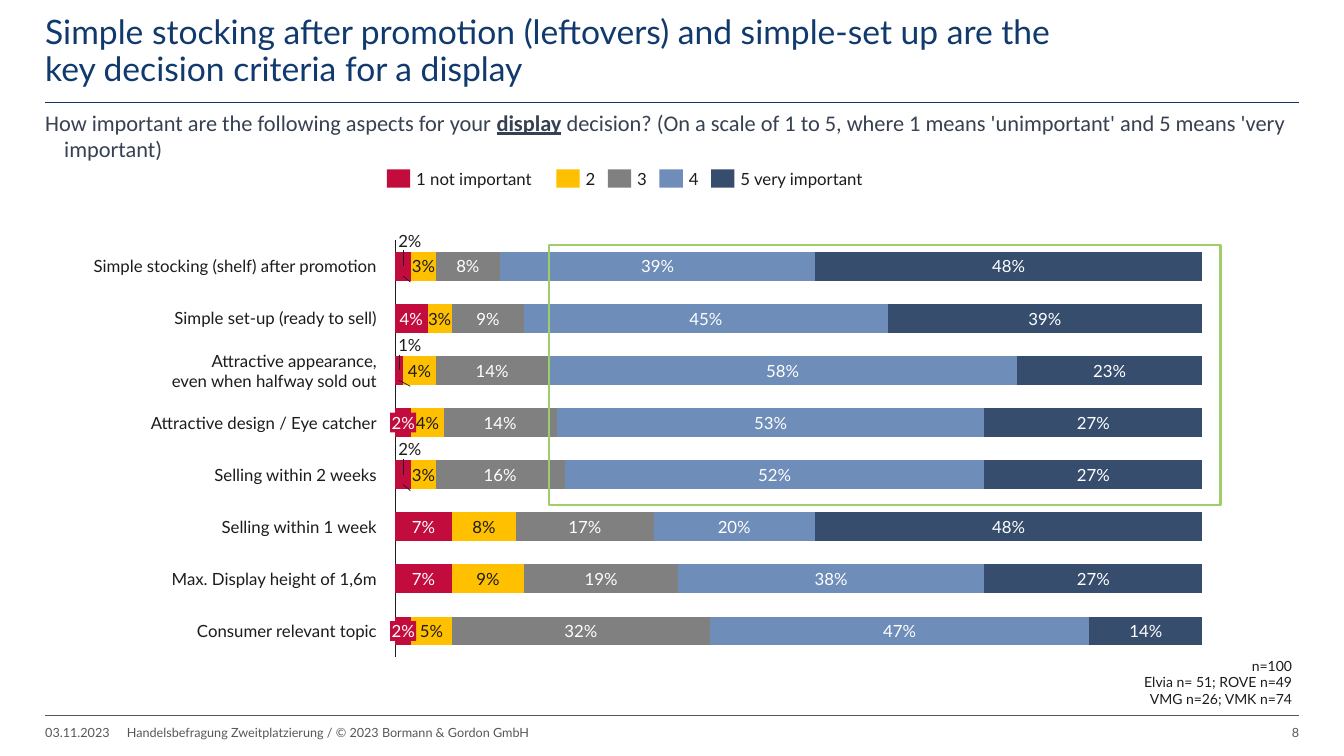
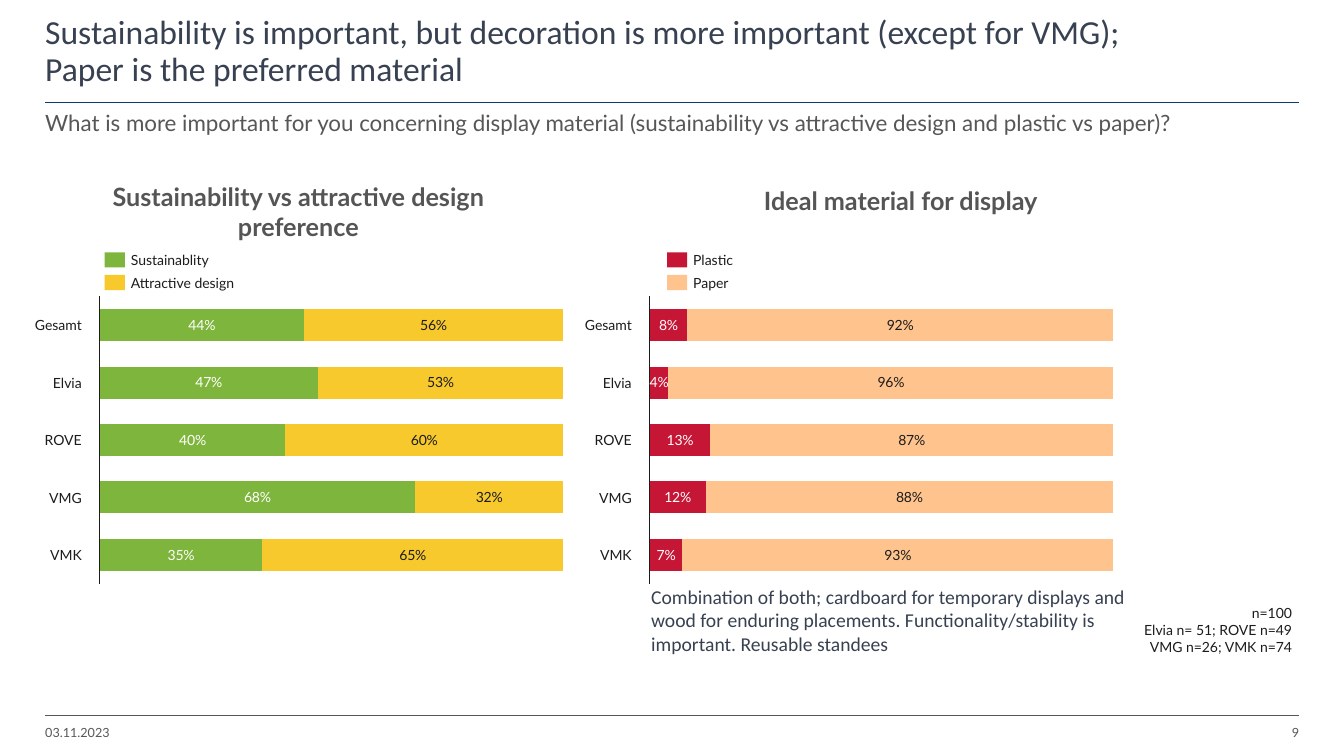
import pptx
import pptx.chart.data
import pptx.dml.color
import pptx.enum.chart
import pptx.enum.shapes
import pptx.enum.text
import pptx.oxml
import pptx.oxml.ns
import pptx.util
from pptx.util import Cm, Pt

ALIGN = pptx.enum.text.PP_ALIGN
ANCHOR = pptx.enum.text.MSO_ANCHOR
NAVY, SLATE, GREY, INK, WHITE = "10396D", "374151", "575757", "1C1C1C", "FFFFFF"
RED, HIGHLIGHT = "C30C3E", "9FCD69"
LEFT, RIGHT, INSET = 1.14, 32.74, 0.23
SAMPLE = "n=100\nElvia n= 51; ROVE n=49\nVMG n=26; VMK n=74"


def rgb(value):
    return pptx.dml.color.RGBColor.from_string(value)


class Report:
    """Hold the report style and the slide being built."""

    def __init__(self):
        self.deck = pptx.Presentation()
        self.deck.slide_width, self.deck.slide_height = Cm(33.87), Cm(19.05)
        self.slide = None

    def start(self, title, number, color=NAVY, face="Lato", footer=None):
        self.slide = self.deck.slides.add_slide(self.deck.slide_layouts[6])
        self.line(LEFT, 18.03, RIGHT, 18.03, GREY)
        self.line(LEFT, 2.59, RIGHT, 2.59, NAVY)
        box = self.text(LEFT, 0.38, RIGHT - LEFT, 1.85, "", anchor=ANCHOR.BOTTOM)
        paragraph = box.text_frame.paragraphs[0]
        paragraph.text = title
        paragraph.line_spacing = 0.9
        self.style(paragraph, 24, color, face)
        self.label(LEFT, 18.45, 2, "03.11.2023", 9, GREY)
        self.label(RIGHT - 1, 18.45, 1, str(number), 9, GREY, ALIGN.RIGHT)
        if footer:
            self.label(3.2, 18.45, 21, footer, 9, GREY)

    def style(self, paragraph, size, color, face="Lato", bold=False):
        for span in paragraph.runs:
            span.font.size = Pt(size)
            span.font.name = face
            span.font.bold = bold
            span.font.color.rgb = rgb(color)

    def set_text(self, frame, text, size, color, align, anchor, face="Lato", bold=False):
        frame.margin_left = frame.margin_right = 0
        frame.margin_top = frame.margin_bottom = 0
        frame.word_wrap = True
        frame.vertical_anchor = anchor
        frame.text = text
        for paragraph in frame.paragraphs:
            paragraph.alignment = align
            self.style(paragraph, size, color, face, bold)

    def text(self, left, top, width, height, text, size=12, color=INK,
             align=ALIGN.LEFT, anchor=ANCHOR.TOP, face="Lato", bold=False):
        box = self.slide.shapes.add_textbox(Cm(left), Cm(top), Cm(width), Cm(height))
        self.set_text(box.text_frame, text, size, color, align, anchor, face, bold)
        return box

    def label(self, left, middle, width, text, size=12, color=INK, align=ALIGN.LEFT):
        self.text(left, middle - 0.5, width, 1, text, size, color, align, ANCHOR.MIDDLE)

    def question(self, pieces, color, face):
        box = self.text(LEFT, 2.74, RIGHT - LEFT, 0.69, pieces[0])
        paragraph = box.text_frame.paragraphs[0]
        for piece in pieces[1:]:
            paragraph.add_run().text = piece
        self.style(paragraph, 16, color, face)
        for span in paragraph.runs[1::2]:
            span.font.bold = span.font.underline = True
        paragraph.space_after = Pt(6)
        properties = paragraph._p.get_or_add_pPr()
        properties.set("marL", str(Cm(0.48)))
        properties.set("indent", str(-Cm(0.48)))

    def line(self, x1, y1, x2, y2, color=INK, weight=0.75):
        connector = self.slide.shapes.add_connector(
            pptx.enum.shapes.MSO_CONNECTOR.STRAIGHT, Cm(x1), Cm(y1), Cm(x2), Cm(y2))
        connector.line.color.rgb = rgb(color)
        connector.line.width = Pt(weight)
        connector._element.spPr.append(pptx.oxml.parse_xml(
            f"<a:effectLst {pptx.oxml.ns.nsdecls('a')}/>"))

    def rectangle(self, left, top, width, height, fill=None, outline=None, text=""):
        shape = self.slide.shapes.add_shape(
            pptx.enum.shapes.MSO_SHAPE.RECTANGLE, Cm(left), Cm(top), Cm(width), Cm(height))
        shape.shadow.inherit = False
        if fill:
            shape.fill.solid()
            shape.fill.fore_color.rgb = rgb(fill)
        else:
            shape.fill.background()
        if outline:
            shape.line.color.rgb = rgb(outline)
            shape.line.width = Pt(1.5)
        else:
            shape.line.fill.background()
        if text:
            self.set_text(shape.text_frame, text, 12, WHITE, ALIGN.CENTER, ANCHOR.MIDDLE)

    def legend_entry(self, left, middle, width, height, name, color, size):
        self.rectangle(left, middle - height / 2, width, height, color)
        self.label(left + width + 0.15, middle, 4 if len(name) > 1 else 0.5, name, size)

    def bar_chart(self, left, top, width, height, label_left, categories, series, size):
        """Draw stacked bars with row labels and return the middle of each row."""
        data = pptx.chart.data.CategoryChartData()
        data.categories = [name.replace("\n", " ") for name in categories]
        for name, color, label_color, values in series:
            data.add_series(name, values)
        chart = self.slide.shapes.add_chart(
            pptx.enum.chart.XL_CHART_TYPE.BAR_STACKED,
            Cm(left), Cm(top), Cm(width), Cm(height), data).chart
        chart.has_legend = chart.has_title = False
        chart.font.size = Pt(size)
        chart.font.name = "Lato"
        chart.font.color.rgb = rgb(INK)
        axis = chart.category_axis
        axis.reverse_order = True
        axis.tick_label_position = pptx.enum.chart.XL_TICK_LABEL_POSITION.NONE
        axis.major_tick_mark = pptx.enum.chart.XL_TICK_MARK.NONE
        axis.format.line.color.rgb = rgb(INK)
        axis.format.line.width = Pt(0.75)
        scale = chart.value_axis
        scale.minimum_scale, scale.maximum_scale = 0, 100
        scale.has_major_gridlines = False
        scale.visible = False
        plot = chart.plots[0]
        plot.gap_width, plot.overlap = 80, 100
        plot.vary_by_categories = False
        for bars, (name, color, label_color, values) in zip(plot.series, series):
            bars.format.fill.solid()
            bars.format.fill.fore_color.rgb = rgb(color)
            labels = bars.data_labels
            labels.show_value = True
            labels.number_format = '[>=3]0"%";""'
            labels.number_format_is_linked = False
            labels.position = pptx.enum.chart.XL_LABEL_POSITION.CENTER
            labels.font.size = Pt(size)
            labels.font.name = "Lato"
            labels.font.color.rgb = rgb(label_color)
        self.fix_plot(chart, INSET / width, INSET / height)

        pitch = (height - 2 * INSET) / len(categories)
        middles = [top + INSET + pitch * (row + 0.5) for row in range(len(categories))]
        for name, middle in zip(categories, middles):
            self.label(label_left, middle, left - INSET - label_left, name, size,
                       align=ALIGN.RIGHT)
        return middles

    def fix_plot(self, chart, x, y):
        area = chart._chartSpace.chart.plotArea
        for layout in area.findall(pptx.oxml.ns.qn("c:layout")):
            area.remove(layout)
        sizes = {"x": x, "y": y, "w": 1 - 2 * x, "h": 1 - 2 * y}
        values = "".join(f'<c:{key} val="{size:.4f}"/>' for key, size in sizes.items())
        area.insert(0, pptx.oxml.parse_xml(
            f"<c:layout {pptx.oxml.ns.nsdecls('c')}><c:manualLayout>"
            '<c:layoutTarget val="inner"/><c:xMode val="edge"/><c:yMode val="edge"/>'
            f"{values}</c:manualLayout></c:layout>"))

    def sample_note(self, top):
        self.text(25.22, top, 7.34, 1.68, SAMPLE, 10, align=ALIGN.RIGHT)


def criteria_slide(report):
    report.start("Simple stocking after promotion (leftovers) and simple-set up are the\v"
                 "key decision criteria for a display", 8,
                 footer="Handelsbefragung Zweitplatzierung / © 2023 Bormann & Gordon GmbH")
    report.question(["How important are the following aspects for your ", "display",
                     " decision? (On a scale of 1 to 5, where 1 means 'unimportant' "
                     "and 5 means 'very important)"], SLATE, "Calibri")
    criteria = ["Simple stocking (shelf) after promotion", "Simple set-up (ready to sell)",
                "Attractive appearance,\neven when halfway sold out",
                "Attractive design / Eye catcher", "Selling within 2 weeks",
                "Selling within 1 week", "Max. Display height of 1,6m",
                "Consumer relevant topic"]
    series = [
        ("1 not important", RED, WHITE, (2, 4, 1, 2, 2, 7, 7, 2)),
        ("2", "FFC000", INK, (3, 3, 4, 4, 3, 8, 9, 5)),
        ("3", "808080", WHITE, (8, 9, 14, 14, 16, 17, 19, 32)),
        ("4", "6F8DB9", WHITE, (39, 45, 58, 53, 52, 20, 38, 47)),
        ("5 very important", "364D6E", WHITE, (48, 39, 23, 27, 27, 48, 27, 14)),
    ]
    middles = report.bar_chart(9.73, 5.82, 20.8, 10.97, 0.89, criteria, series, 12)
    for row in (0, 2, 4):
        share, middle = series[0][3][row], middles[row]
        center = 9.96 + share * 0.1
        report.line(center, middle - 0.4, center, middle, weight=0.5)
        report.line(10.34, middle + 0.4, center, middle + 0.25, weight=0.5)
        report.label(9.83, middle - 0.64, 1, f"{share}%", align=ALIGN.CENTER)
    for row in (3, 7):
        report.rectangle(9.83, middles[row] - 0.25, 0.66, 0.5, RED,
                         text=f"{series[0][3][row]}%")
    lefts = [9.75] + [14.02 + 1.3 * step for step in range(4)]
    for left, (name, color, label_color, values) in zip(lefts, series):
        report.legend_entry(left, 4.5, 0.59, 0.46, name, color, 12)
    report.rectangle(13.84, 6.17, 16.92, 6.55, outline=HIGHLIGHT)
    report.sample_note(16.56)


def material_slide(report):
    report.start("Sustainability is important, but decoration is more important "
                 "(except for VMG);\vPaper is the preferred material", 9, SLATE, "Calibri")
    report.question(["What is more important for you concerning display material "
                     "(sustainability vs attractive design and plastic vs paper)?"],
                    GREY, "Lato")
    groups = ["Gesamt", "Elvia", "ROVE", "VMG", "VMK"]
    panels = [
        (2.29, 2.64, (1.07, 4.57, 12.9), "Sustainability vs attractive design\npreference",
         [("Sustainablity", "7EB53C", WHITE, (44, 47, 40, 68, 35)),
          ("Attractive design", "F7C92D", INK, (56, 53, 60, 32, 65))]),
        (16.15, 16.81, (18.13, 4.67, 9.14), "Ideal material for display",
         [("Plastic", "C51635", WHITE, (8, 4, 13, 12, 7)),
          ("Paper", "FFC38D", INK, (92, 96, 87, 88, 93))]),
    ]
    for left, legend_left, heading_place, heading, series in panels:
        report.bar_chart(left, 7.24, 12.14, 7.7, left - 1.6, groups, series, 10)
        for row, (name, color, label_color, values) in enumerate(series):
            report.legend_entry(legend_left, 6.55 + 0.57 * row, 0.51, 0.38, name, color, 10)
        report.text(*heading_place, 1.45, heading, 18, "555555", ALIGN.CENTER, bold=True)
    report.text(16.41, 14.73, 12.01, 1.8,
                "Combination of both; cardboard for temporary displays and wood for "
                "enduring placements. Functionality/stability is important. "
                "Reusable standees", 14, SLATE, face="Calibri")
    report.sample_note(15.24)


def main():
    report = Report()
    criteria_slide(report)
    material_slide(report)
    report.deck.save("out.pptx")


if __name__ == "__main__":
    main()
